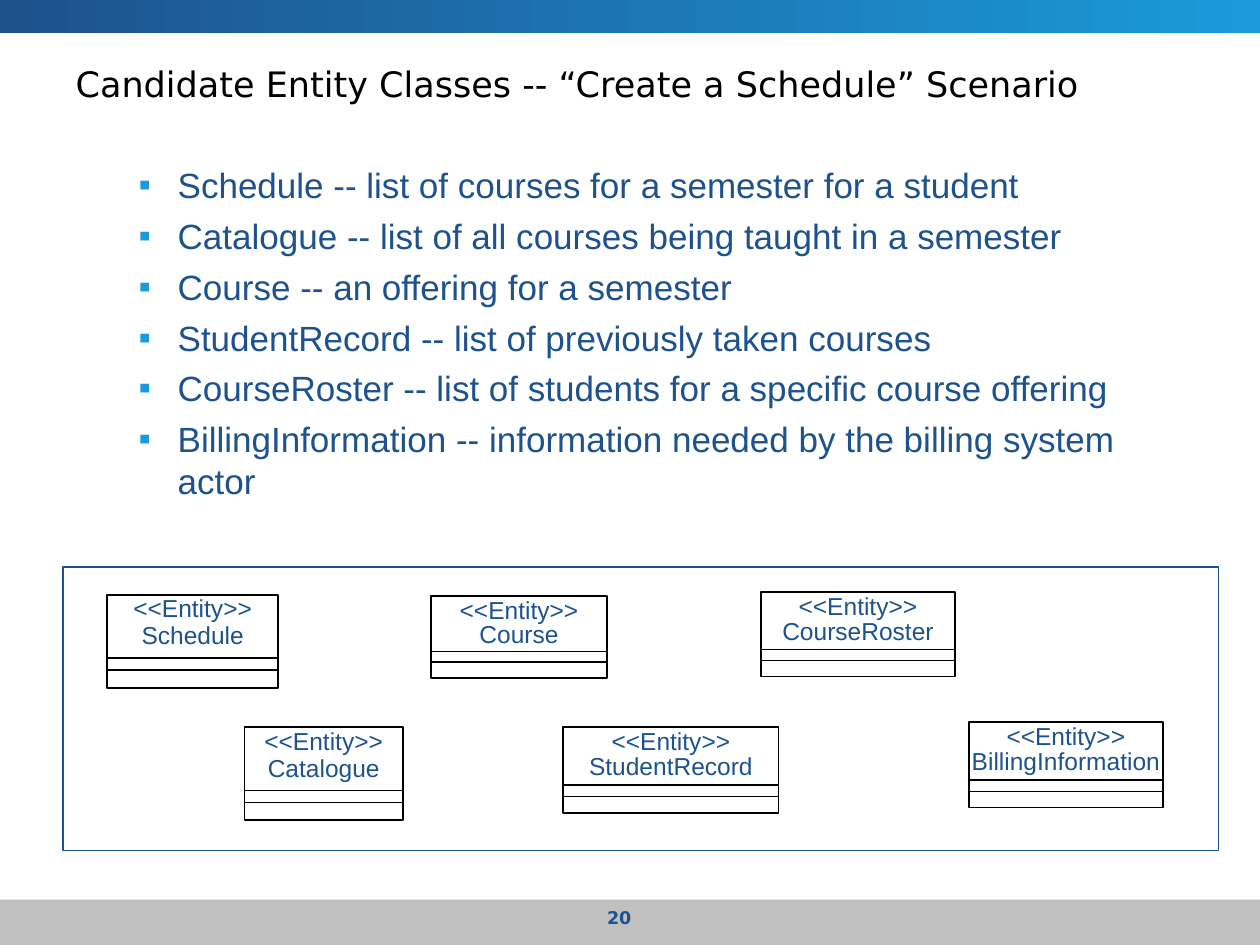
from lxml import etree
from pptx import Presentation
from pptx.dml.color import RGBColor
from pptx.enum.shapes import MSO_CONNECTOR, MSO_SHAPE
from pptx.enum.text import MSO_ANCHOR, MSO_AUTO_SIZE, PP_ALIGN
from pptx.oxml.ns import qn
from pptx.util import Inches, Pt

NAVY, SKY, GREY, BLACK, WHITE = "1D528D", "1B9AD9", "C0C0C0", "000000", "FFFFFF"
INSET = 0.1  # side margin inside a text box

BULLETS = [
    "Schedule -- list of courses for a semester for a student",
    "Catalogue -- list of all courses being taught in a semester",
    "Course -- an offering for a semester",
    "StudentRecord -- list of previously taken courses",
    "CourseRoster -- list of students for a specific course offering",
    "BillingInformation -- information needed by the billing system actor",
]

# Class name and its box: left, top, width, height in inches
ENTITIES = [
    ("Schedule", (0.85, 4.72, 1.36, 0.74)),
    ("Course", (3.42, 4.73, 1.4, 0.65)),
    ("BillingInformation", (7.69, 5.73, 1.54, 0.68)),
    ("CourseRoster", (6.04, 4.7, 1.54, 0.67)),
    ("StudentRecord", (4.47, 5.77, 1.71, 0.68)),
    ("Catalogue", (1.94, 5.77, 1.26, 0.74)),
]


def color(value):
    return RGBColor.from_string(value)


def place(shape, box):
    shape.left, shape.top, shape.width, shape.height = map(Inches, box)


def add_span(para, text, size, font, ink, bold=False):
    span = para.add_run()
    span.text = text
    span.font.size = Pt(size)
    span.font.name = font
    span.font.bold = bold
    span.font.color.rgb = color(ink)


def add_rect(shapes, box, fill=None, line=None, weight=1):
    rect = shapes.add_shape(MSO_SHAPE.RECTANGLE, *map(Inches, box))
    rect.shadow.inherit = False
    if fill:
        rect.fill.solid()
        rect.fill.fore_color.rgb = color(fill)
    else:
        rect.fill.background()
    if line:
        rect.line.color.rgb = color(line)
        rect.line.width = Pt(weight)
    else:
        rect.line.fill.background()
    return rect


def add_label(shapes, box, text, size, font, bold=False):
    label = shapes.add_textbox(*map(Inches, box))
    label.text_frame.word_wrap = False
    para = label.text_frame.paragraphs[0]
    para.alignment = PP_ALIGN.CENTER
    add_span(para, text, size, font, NAVY, bold)


def add_divider(shapes, left, top, width):
    line = shapes.add_connector(MSO_CONNECTOR.STRAIGHT, Inches(left), Inches(top),
                                Inches(left + width), Inches(top))
    line.line.color.rgb = color(BLACK)
    line.line.width = Pt(1)
    etree.SubElement(line._element.spPr, qn("a:effectLst"))


def add_bands(page, header_box, footer_box):
    add_rect(page.shapes, footer_box, GREY)
    header = add_rect(page.shapes, header_box)
    header.fill.gradient()
    header.fill.gradient_angle = 0
    for stop, ink in zip(header.fill.gradient_stops, (NAVY, SKY)):
        stop.color.rgb = color(ink)


def fill_title(title, box):
    place(title, box)
    title.text_frame.auto_size = MSO_AUTO_SIZE.NONE
    title.text_frame.vertical_anchor = MSO_ANCHOR.MIDDLE
    para = title.text_frame.paragraphs[0]
    para.alignment = PP_ALIGN.LEFT
    add_span(para, "Candidate Entity Classes -- “Create a Schedule” Scenario",
             20, "DejaVu Sans", BLACK)


def set_bullet(para):
    props = para._p.get_or_add_pPr()
    props.set("marL", str(Inches(0.81)))
    props.set("indent", str(Inches(-0.31)))
    bullet_color = etree.SubElement(props, qn("a:buClr"))
    etree.SubElement(bullet_color, qn("a:srgbClr"), val=SKY)
    etree.SubElement(props, qn("a:buChar"), char="▪")


def fill_bullets(body, box):
    place(body, box)
    frame = body.text_frame
    frame.auto_size = MSO_AUTO_SIZE.NONE
    for index, text in enumerate(BULLETS):
        para = frame.add_paragraph() if index else frame.paragraphs[0]
        para.level = 1
        set_bullet(para)
        para.space_before = Pt(5 if index else 0)
        add_span(para, text, 20, "Arial", NAVY)


def add_entity(page, name, box):
    left, top, width, height = box
    parts = page.shapes.add_group_shape().shapes
    add_rect(parts, box, line=BLACK)
    # Stereotype above the class name, each with the full box width for its text
    for text, offset in (("<<Entity>>", -0.06), (name, 0.21 * height)):
        label_box = (left - INSET, top + offset, width + 2 * INSET, 0.33)
        add_label(parts, label_box, text, 14, "Arial")
    # Attribute and operation compartments
    for share in (0.68, 0.81):
        add_divider(parts, left, top + share * height, width)


def add_diagram(page, box):
    add_rect(page.shapes, box, WHITE, NAVY, 0.75)
    for name, entity_box in ENTITIES:
        add_entity(page, name, entity_box)


def main():
    deck = Presentation()
    deck.slide_width, deck.slide_height = Inches(10), Inches(7.5)
    page = deck.slides.add_slide(deck.slide_layouts[1])
    add_bands(page, (0, 0, 10, 0.26), (0, 7.14, 10, 0.36))
    fill_title(page.shapes.title, (0.5, 0.35, 9, 0.62))
    fill_bullets(page.placeholders[1], (0.5, 1.25, 8.75, 5.42))
    add_diagram(page, (0.5, 4.5, 9.17, 2.25))
    # Page number
    add_label(page.shapes, (3.75, 7.15, 2.33, 0.28), "20", 10, "DejaVu Sans", True)
    deck.save("out.pptx")


if __name__ == "__main__":
    main()
